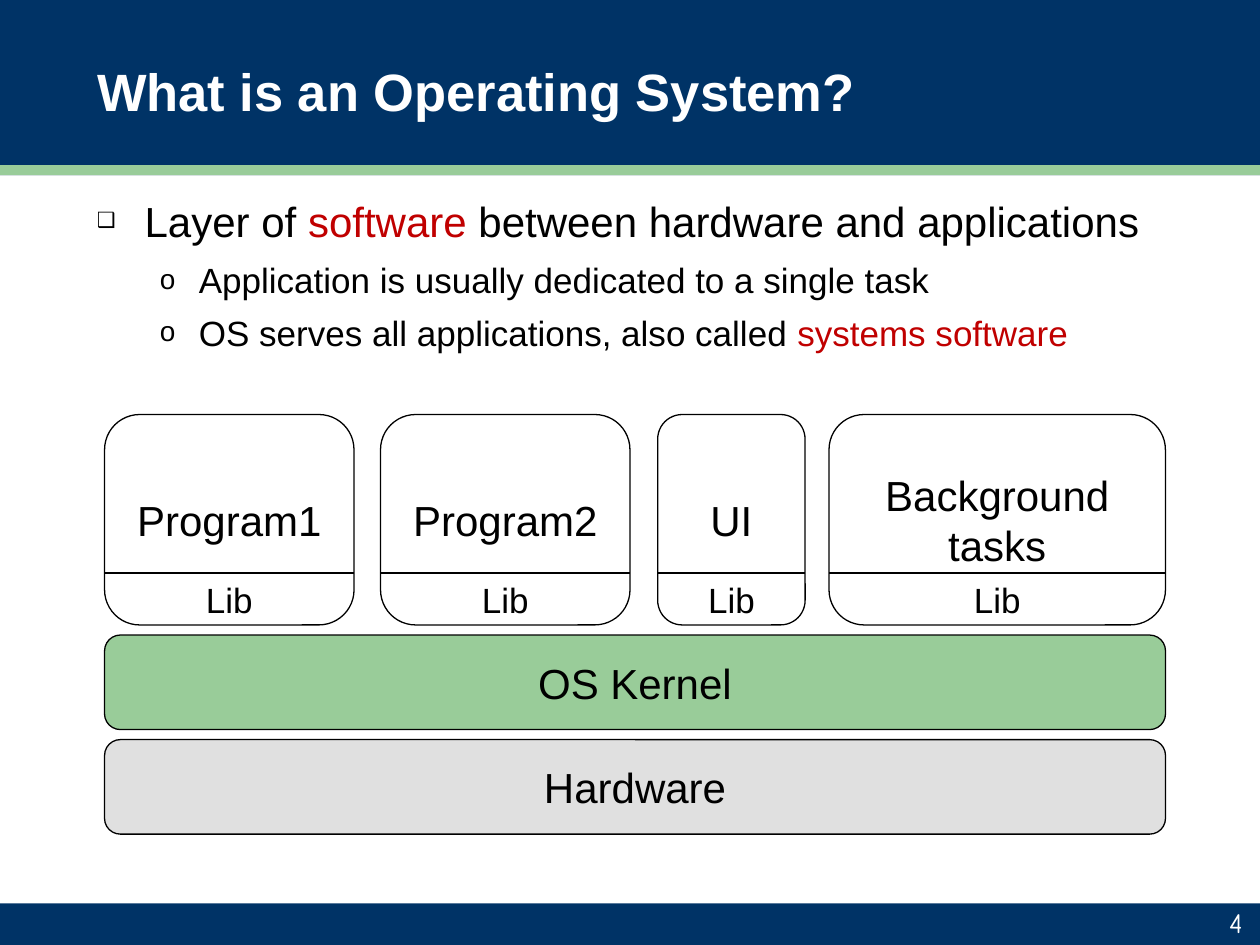
from lxml import etree
from pptx import Presentation
from pptx.dml.color import RGBColor
from pptx.enum.shapes import MSO_CONNECTOR, MSO_SHAPE
from pptx.enum.text import MSO_ANCHOR, PP_ALIGN
from pptx.oxml.ns import qn
from pptx.util import Inches, Pt

RECTANGLE, ROUNDED = MSO_SHAPE.RECTANGLE, MSO_SHAPE.ROUNDED_RECTANGLE
STRAIGHT = MSO_CONNECTOR.STRAIGHT
TOP, MIDDLE, BOTTOM = MSO_ANCHOR.TOP, MSO_ANCHOR.MIDDLE, MSO_ANCHOR.BOTTOM
LEFT, CENTER, RIGHT = PP_ALIGN.LEFT, PP_ALIGN.CENTER, PP_ALIGN.RIGHT
NAVY, GREEN, GREY, RED = "003366", "99CC99", "E0E0E0", "C00000"
BLACK, WHITE = "000000", "FFFFFF"
BULLETS = [
    (0, [("Layer of ", BLACK), ("software ", RED),
         ("between hardware and applications", BLACK)]),
    (1, [("Application is usually dedicated to a single task", BLACK)]),
    (1, [("OS serves all applications, also called ", BLACK),
         ("systems software", RED)]),
]
LEVELS = [
    dict(mark="❑", scale=50, size=24, indent=0.38, hang=0.38, before=0, after=2.5),
    dict(mark="o", scale=80, size=20, indent=0.81, hang=0.31, before=5, after=1),
]
PROGRAMS = [("Program1", 0.83, 1.98), ("Program2", 3.02, 1.98),
            ("UI", 5.22, 1.17), ("Background tasks", 6.58, 2.67)]


def color(hex_string):
    """Return the colour for a hex string."""
    return RGBColor.from_string(hex_string)


def add_span(para, text, size, hex_string=BLACK, font="Arial", bold=False):
    """Add one formatted run to a paragraph."""
    span = para.add_run()
    span.text = text
    span.font.name = font
    span.font.size = Pt(size)
    span.font.bold = bold
    span.font.color.rgb = color(hex_string)


def set_frame(shape, anchor=TOP, align=LEFT, wrap=True):
    """Set up the text frame of a shape and return its first paragraph."""
    frame = shape.text_frame
    frame.word_wrap = wrap
    frame.vertical_anchor = anchor
    para = frame.paragraphs[0]
    para.alignment = align
    return para


def add_block(page, kind, box, fill, line=None):
    """Add a filled shape, outlined when a line colour is given."""
    block = page.shapes.add_shape(kind, *map(Inches, box))
    block.shadow.inherit = False
    block.fill.solid()
    block.fill.fore_color.rgb = color(fill)
    if line:
        block.line.color.rgb = color(line)
        block.line.width = Pt(0.75)
    else:
        block.line.fill.background()
    return block


def add_layer(page, box, label, fill):
    """Add a rounded layer with a centred label."""
    layer = add_block(page, ROUNDED, box, fill, BLACK)
    add_span(set_frame(layer, MIDDLE, CENTER), label, 24)


def add_bands(page):
    """Place the header and footer bands behind the title."""
    for box, fill in [((0, 0, 10, 1.39), NAVY), ((0, 1.31, 10, 0.08), GREEN),
                      ((0, 7.17, 10, 0.33), NAVY)]:
        band = add_block(page, RECTANGLE, box, fill)
        page.shapes.title.element.addprevious(band.element)


def add_title(page, box, text):
    """Place and format the title placeholder."""
    title = page.shapes.title
    title.left, title.top, title.width, title.height = map(Inches, box)
    add_span(set_frame(title, MIDDLE), text, 30, WHITE, bold=True)


def add_bullet(para, mark, scale, indent, hang):
    """Give a paragraph a hanging bullet."""
    props = para._p.get_or_add_pPr()
    props.set("marL", str(Inches(indent)))
    props.set("indent", str(-Inches(hang)))
    etree.SubElement(props, qn("a:buSzPct")).set("val", str(scale * 1000))
    etree.SubElement(props, qn("a:buFont")).set("typeface", "Arial")
    etree.SubElement(props, qn("a:buChar")).set("char", mark)


def add_body(page, box):
    """Place the bulleted text."""
    body = page.shapes.add_textbox(*map(Inches, box))
    para = set_frame(body)
    body.text_frame.margin_top = Inches(0.08)
    for index, (level, spans) in enumerate(BULLETS):
        if index:
            para = body.text_frame.add_paragraph()
        style = LEVELS[level]
        para.level = level
        para.space_before = Pt(style["before"])
        para.space_after = Pt(style["after"])
        add_bullet(para, style["mark"], style["scale"], style["indent"], style["hang"])
        for text, hex_string in spans:
            add_span(para, text, style["size"], hex_string)


def add_program(page, box, label):
    """Place a program with its library compartment."""
    left, top, width, height = box
    split = top + 1.26
    add_layer(page, box, label, WHITE)
    divider = page.shapes.add_connector(
        STRAIGHT, *map(Inches, (left, split, left + width, split)))
    divider.line.color.rgb = color(BLACK)
    divider.line.width = Pt(1)
    etree.SubElement(divider.element.spPr, qn("a:effectLst"))
    library = page.shapes.add_textbox(
        *map(Inches, (left + width / 2 - 0.29, split - 0.01, 0.58, 0.44)))
    add_span(set_frame(library, align=CENTER, wrap=False), "Lib", 20)


def add_stack(page, left, width):
    """Place the hardware, kernel and program layers."""
    add_layer(page, (left, 5.87, width, 0.75), "Hardware", GREY)
    add_layer(page, (left, 5.04, width, 0.75), "OS Kernel", GREEN)
    for label, start, span in PROGRAMS:
        add_program(page, (start, 3.29, span, 1.67), label)


def add_page_number(page, box, number):
    """Place the page number in the footer."""
    holder = page.shapes.add_textbox(*map(Inches, box))
    add_span(set_frame(holder, BOTTOM, RIGHT), number, 16, WHITE, "Comic Neue")


def main():
    """Build and save the deck."""
    deck = Presentation()
    deck.slide_width, deck.slide_height = Inches(10), Inches(7.5)
    page = deck.slides.add_slide(deck.slide_layouts.get_by_name("Title Only"))
    add_bands(page)
    add_title(page, (0.67, 0.05, 8.67, 1.33), "What is an Operating System?")
    add_body(page, (0.67, 1.47, 8.67, 5.67))
    add_page_number(page, (7.88, 7.18, 2.08, 0.32), "4")
    add_stack(page, 0.83, 8.42)
    deck.save("out.pptx")


if __name__ == "__main__":
    main()
